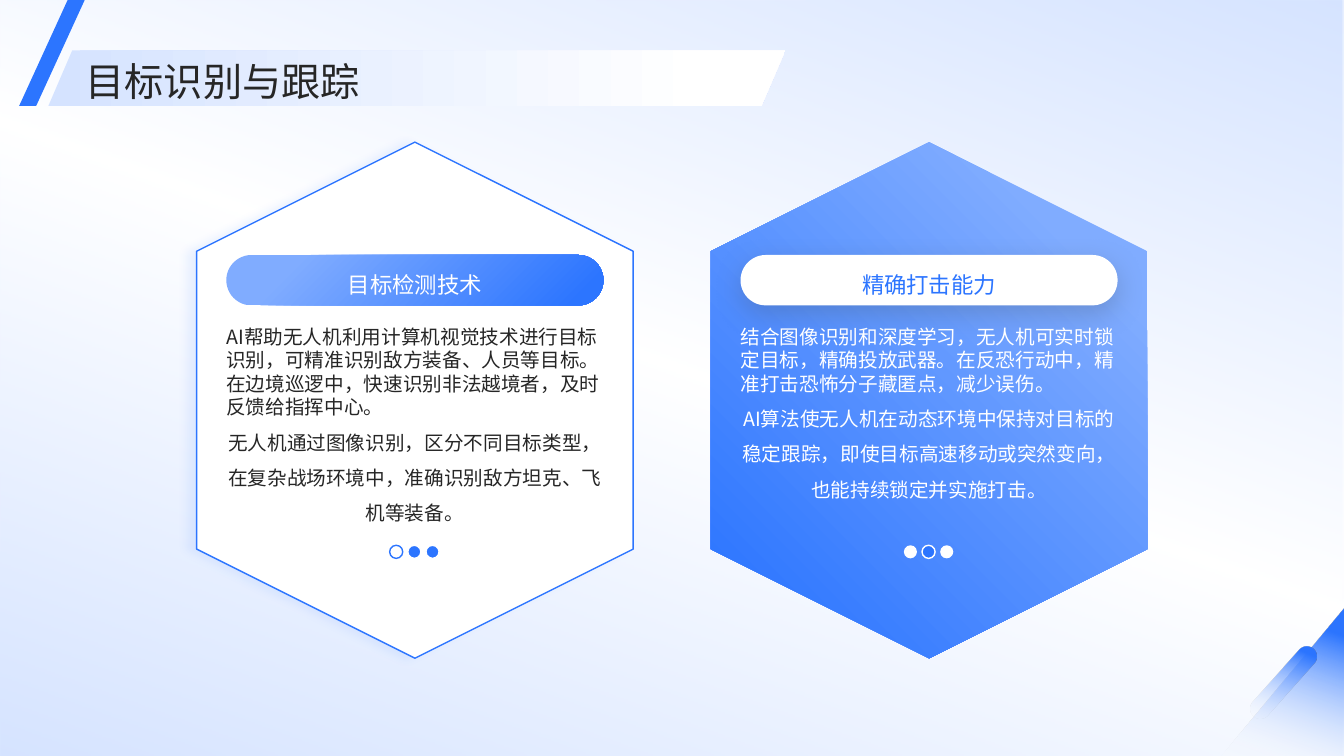
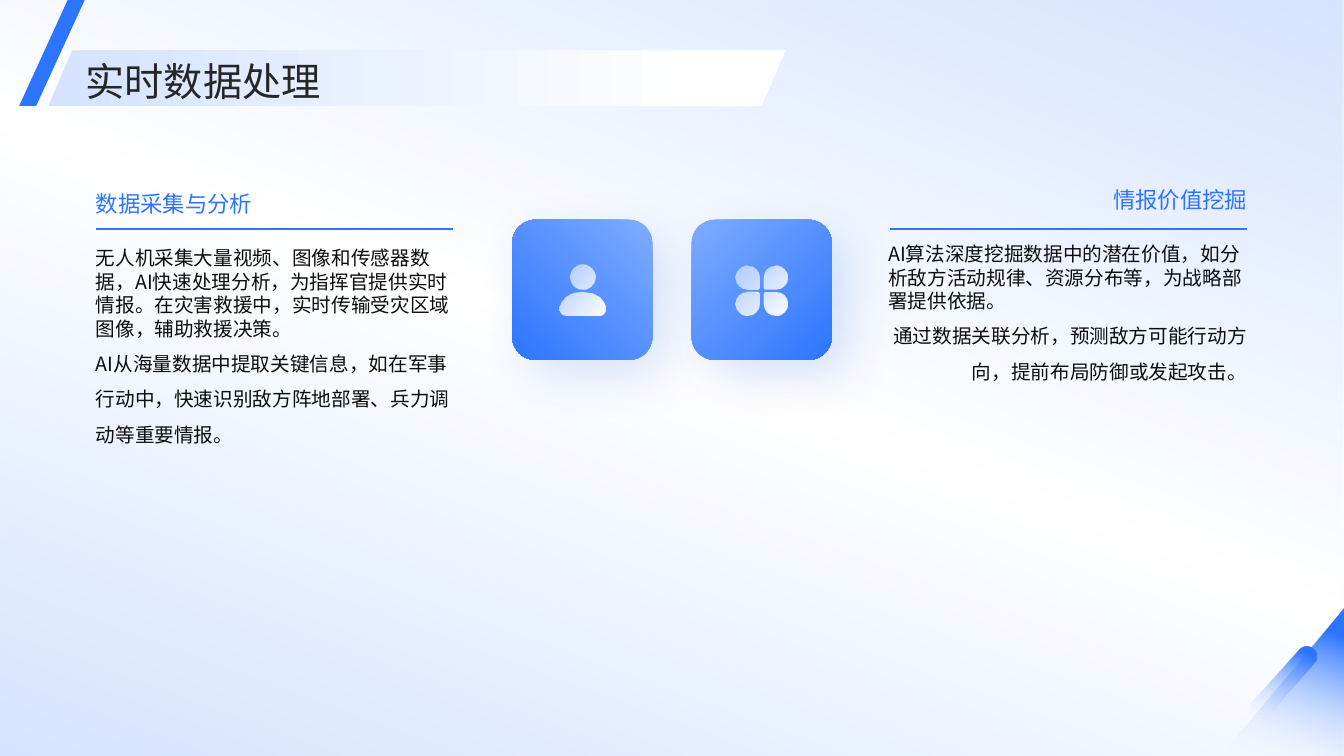
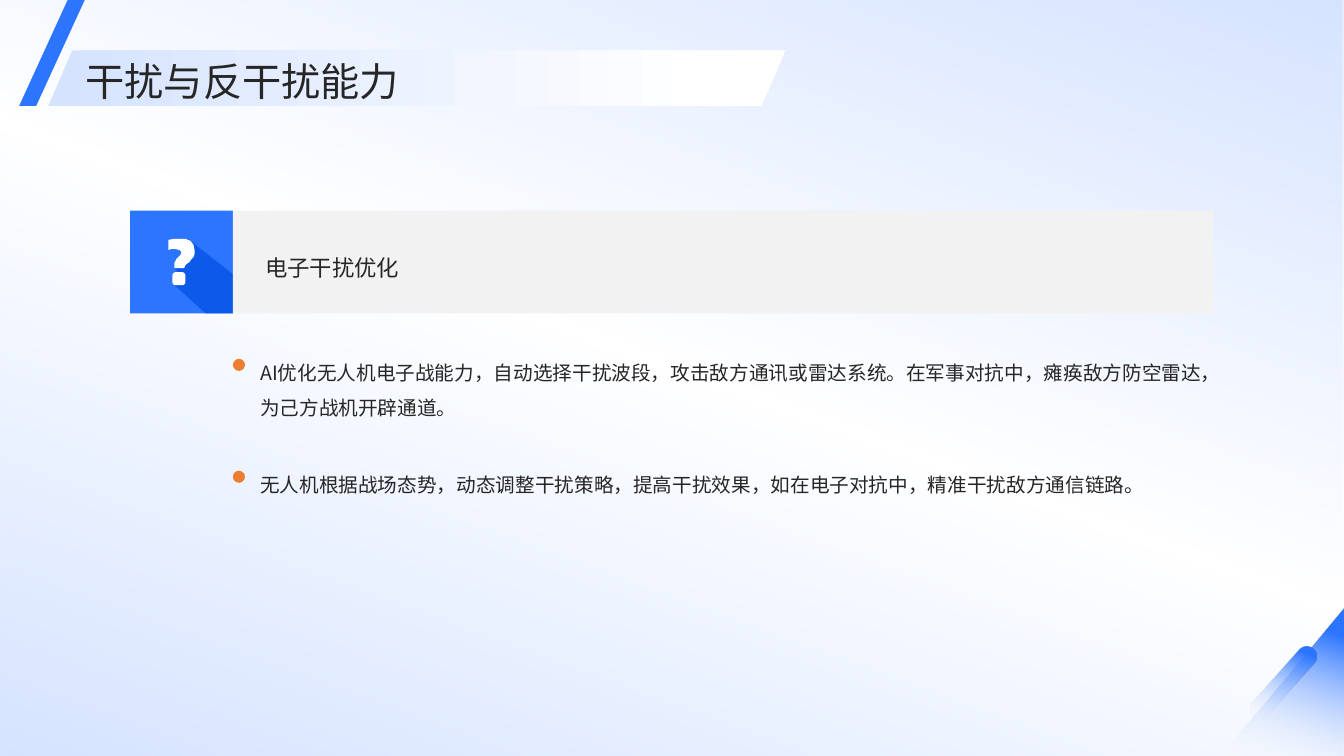
import math

import lxml.etree
import pptx
import pptx.dml.color
import pptx.enum.shapes
import pptx.enum.text
import pptx.oxml.ns
import pptx.util

Inches = pptx.util.Inches
SHAPE = pptx.enum.shapes.MSO_SHAPE
ALIGN = pptx.enum.text.PP_ALIGN
ANCHOR = pptx.enum.text.MSO_ANCHOR
qn = pptx.oxml.ns.qn

FONT = "Noto Sans CJK SC"
COLORS = {
    "blue": "2C75FF",
    "light_blue": "80ACFF",
    "deep_blue": "004EE0",
    "pale": "D5E3FF",
    "white": "FFFFFF",
    "gray": "F2F2F2",
    "slate": "44546A",
    "ink": "262626",
    "black": "0D0D0D",
    "orange": "ED7D31",
}
PAGE = ([(0, "pale", 100), (51, "white", 97), (100, "pale", 100)], 290)
FADE = ([(0, "white", 0), (85, "blue", 100)], 250)
BAND = ([(0, "pale", 100), (89, "white", 100)], 0)
GLOW = ([(18, "light_blue", 100), (93, "blue", 100)], 45)
ICON = ([(0, "white", 100), (100, "white", 50)], 225)
TILE_STOPS = [(0, "light_blue", 100), (100, "blue", 100)]


def rgb(name):
    return pptx.dml.color.RGBColor.from_string(COLORS[name])


def add_color(parent, name, opacity):
    color = lxml.etree.SubElement(parent, qn("a:srgbClr"), val=COLORS[name])
    if opacity < 100:
        lxml.etree.SubElement(color, qn("a:alpha"), val=str(opacity * 1000))


def paint_gradient(shape, stops, angle):
    shape.fill.gradient()
    gradient = shape.element.spPr.find(qn("a:gradFill"))
    stop_list = gradient.find(qn("a:gsLst"))
    for stop in list(stop_list):
        stop_list.remove(stop)
    for position, name, opacity in stops:
        stop = lxml.etree.SubElement(stop_list, qn("a:gs"), pos=str(position * 1000))
        add_color(stop, name, opacity)
    gradient.find(qn("a:lin")).set("ang", str(angle * 60000))


def style_shape(shape, fill, line=None, shadow=None):
    if isinstance(fill, str):
        shape.fill.solid()
        shape.fill.fore_color.rgb = rgb(fill)
    else:
        paint_gradient(shape, *fill)
    if line:
        shape.line.color.rgb = rgb(line)
        shape.line.width = pptx.util.Pt(1)
    else:
        shape.line.fill.background()
    shape.shadow.inherit = False
    if shadow:
        name, opacity, blur, distance, direction = shadow
        effect = lxml.etree.SubElement(
            shape.element.spPr.find(qn("a:effectLst")), qn("a:outerShdw"),
            blurRad=str(pptx.util.Pt(blur)), dist=str(pptx.util.Pt(distance)),
            dir=str(direction * 60000), algn="ctr", rotWithShape="0")
        add_color(effect, name, opacity)
    return shape


def add_block(shapes, kind, box, fill, line=None, shadow=None, adjustment=None):
    shape = shapes.add_shape(kind, *map(Inches, box))
    if adjustment is not None:
        shape.adjustments[0] = adjustment
    return style_shape(shape, fill, line, shadow)


def add_outline(shapes, contours, fill):
    contours = [[(Inches(x), Inches(y)) for x, y in points] for points in contours]
    builder = shapes.build_freeform(*contours[0][0])
    for index, points in enumerate(contours):
        if index:
            builder.move_to(*points[0])
        builder.add_line_segments(points[1:], close=True)
    return style_shape(builder.convert_to_shape(), fill)


def arc(center_x, center_y, radius, start, end, steps):
    angles = [math.radians(start + (end - start) * i / steps) for i in range(steps + 1)]
    return [(center_x + radius * math.cos(a), center_y + radius * math.sin(a)) for a in angles]


def bezier(*controls, steps=4):
    weights = (1, 3, 3, 1)
    points = []
    for step in range(steps + 1):
        t = step / steps
        factors = [w * t ** k * (1 - t) ** (3 - k) for k, w in enumerate(weights)]
        points.append(tuple(sum(f * c[axis] for f, c in zip(factors, controls)) for axis in (0, 1)))
    return points


def format_paragraph(paragraph, size, color, align, spacing):
    paragraph.alignment = align
    paragraph.line_spacing = spacing
    paragraph.space_before = pptx.util.Pt(0)
    for run in paragraph.runs:
        run.font.size = pptx.util.Pt(size)
        run.font.color.rgb = rgb(color)
        run.font.name = FONT
        latin = run.font._element.find(qn("a:latin"))
        latin.addnext(latin.makeelement(qn("a:ea"), {"typeface": FONT}))


def prepare_frame(shape, anchor):
    frame = shape.text_frame
    frame.word_wrap = True
    frame.auto_size = pptx.enum.text.MSO_AUTO_SIZE.NONE
    frame.vertical_anchor = anchor
    frame.margin_left = frame.margin_right = frame.margin_top = frame.margin_bottom = 0
    return frame


def add_label(slide, box, text, color, align=ALIGN.LEFT, spacing=1.0, anchor=ANCHOR.MIDDLE):
    frame = prepare_frame(slide.shapes.add_textbox(*map(Inches, box)), anchor)
    frame.text = text
    format_paragraph(frame.paragraphs[0], 16, color, align, spacing)


def place(placeholder, box):
    placeholder.left, placeholder.top, placeholder.width, placeholder.height = map(Inches, box)
    placeholder.element.getparent().append(placeholder.element)


def fill_body(placeholder, box, texts, color, align=ALIGN.LEFT):
    place(placeholder, box)
    frame = prepare_frame(placeholder, ANCHOR.TOP)
    for index, text in enumerate(texts):
        last = index == len(texts) - 1
        paragraph = frame.add_paragraph() if index else frame.paragraphs[0]
        paragraph.text = text
        properties = paragraph._p.get_or_add_pPr()
        properties.set("marL", "0")
        properties.set("indent", "0")
        properties.set("hangingPunct", "1" if last else "0")
        lxml.etree.SubElement(properties, qn("a:buNone"))
        format_paragraph(paragraph, 14, color, align if last else ALIGN.LEFT, 1.5 if last else 1.0)


def add_page(presentation, layout, title):
    slide = presentation.slides.add_slide(layout)
    add_block(slide.shapes, SHAPE.RECTANGLE, (0, 0, 13.33, 7.5), PAGE)
    corner = add_block(slide.shapes, SHAPE.RIGHT_TRIANGLE, (12.12, 6.03, 1.21, 1.47), FADE)
    corner.element.spPr.find(qn("a:xfrm")).set("flipH", "1")
    bar = add_block(slide.shapes, SHAPE.ROUNDED_RECTANGLE, (12.63, 6.33, 0.2, 0.88), FADE, adjustment=0.5)
    bar.rotation = 41.8
    add_block(slide.shapes, SHAPE.PARALLELOGRAM, (0.48, 0.5, 7.31, 0.55), BAND, adjustment=0.43)
    add_block(slide.shapes, SHAPE.PARALLELOGRAM, (0.19, 0, 0.65, 1.05), "blue", adjustment=0.74)
    place(slide.shapes.title, (0.85, 0.52, 11.75, 0.51))
    frame = prepare_frame(slide.shapes.title, ANCHOR.MIDDLE)
    frame.text = title
    format_paragraph(frame.paragraphs[0], 28, "ink", ALIGN.LEFT, 1.1)
    return slide


def add_hexagon_card(slide, body, box, heading, texts, look):
    left, top, width, height = box
    center = left + width / 2
    hexagon_box = (center - height / 2, top + (height - width) / 2, height, width)
    hexagon = add_block(slide.shapes, SHAPE.HEXAGON, hexagon_box, look["card"],
                        look["outline"], look["card_shadow"])
    hexagon.rotation = 90
    inner_left, inner_width = center - 1.87, 3.74
    pill = (inner_left, top + 1.12, inner_width, 0.5)
    add_block(slide.shapes, SHAPE.ROUNDED_RECTANGLE, pill, look["pill"],
              shadow=look["pill_shadow"], adjustment=0.5)
    add_label(slide, pill, heading, look["heading"], ALIGN.CENTER, 1.3)
    fill_body(body, (inner_left, top + 1.81, inner_width, 2.08), texts, look["text"], ALIGN.CENTER)
    for index, (fill, line) in enumerate(look["dots"]):
        dot = (center - 0.25 + 0.18 * index, top + 4.0, 0.13, 0.13)
        add_block(slide.shapes, SHAPE.OVAL, dot, fill, line)


def build_tracking(presentation, layout):
    slide = add_page(presentation, layout, "目标识别与跟踪")
    bodies = list(slide.placeholders)[1:]
    light = {
        "card": "white", "outline": "blue", "card_shadow": ("blue", 8, 5.6, 7, 180),
        "pill": GLOW, "pill_shadow": None, "heading": "white", "text": "ink",
        "dots": [("white", "blue"), ("blue", "white"), ("blue", "white")],
    }
    dark = {
        "card": GLOW, "outline": None, "card_shadow": None,
        "pill": "white", "pill_shadow": ("slate", 28, 19, 6, 90), "heading": "blue", "text": "white",
        "dots": [("white", None), ("blue", "white"), ("white", None)],
    }
    cards = [
        ("目标检测技术", [
            "AI帮助无人机利用计算机视觉技术进行目标识别，可精准识别敌方装备、人员等目标。在边境巡逻中，快速识别非法越境者，及时反馈给指挥中心。",
            "无人机通过图像识别，区分不同目标类型，在复杂战场环境中，准确识别敌方坦克、飞机等装备。"], light),
        ("精确打击能力", [
            "结合图像识别和深度学习，无人机可实时锁定目标，精确投放武器。在反恐行动中，精准打击恐怖分子藏匿点，减少误伤。",
            "AI算法使无人机在动态环境中保持对目标的稳定跟踪，即使目标高速移动或突然变向，也能持续锁定并实施打击。"], dark),
    ]
    for index, (heading, texts, look) in enumerate(cards):
        box = (1.95 + 5.1 * index, 1.41, 4.33, 5.12)
        add_hexagon_card(slide, bodies[index], box, heading, texts, look)


def add_text_column(slide, body, box, heading, texts, align):
    left, top, width, height = box
    add_label(slide, (left, top, width, 0.3), heading, "blue", align, anchor=ANCHOR.TOP)
    fill_body(body, (left, top + 0.55, width, height - 0.55), texts, "black", align)
    rule_width = 3.54
    rule_left = left if align == ALIGN.LEFT else left + width - rule_width
    rule = slide.shapes.add_connector(
        pptx.enum.shapes.MSO_CONNECTOR.STRAIGHT,
        *map(Inches, (rule_left, 2.27, rule_left + rule_width, 2.27)))
    rule.line.color.rgb = rgb("blue")
    rule.line.width = pptx.util.Pt(1.5)
    lxml.etree.SubElement(rule.element.spPr, qn("a:effectLst"))


def add_tile(slide, left, top, angle):
    add_block(slide.shapes, SHAPE.ROUNDED_RECTANGLE, (left, top, 1.39, 1.39),
              (TILE_STOPS, angle), shadow=("deep_blue", 15, 35, 16, 45))


def add_person(slide, center_x, top):
    shoulder = bezier((0, 0.27), (0.15, 0.27), (0.21, 0.35), (0.23, 0.42))
    base = bezier((0.23, 0.42), (0.24, 0.46), (0.21, 0.51), (0.16, 0.51))
    half = shoulder + base[1:]
    torso = half + [(-x, y) for x, y in reversed(half[1:])]
    torso = [(center_x + x, top + y) for x, y in torso]
    add_outline(slide.shapes, [torso, arc(center_x, top + 0.125, 0.125, 0, 345, 23)], ICON)


def add_clover(slide, center_x, center_y):
    petal = arc(0.14, 0.13, 0.12, -90, 180, 12) + arc(0.04, 0.03, 0.02, 180, 270, 2)
    petals = [[(center_x + sign_x * x, center_y + sign_y * y) for x, y in petal]
              for sign_x in (-1, 1) for sign_y in (-1, 1)]
    add_outline(slide.shapes, petals, ICON)


def build_processing(presentation, layout):
    slide = add_page(presentation, layout, "实时数据处理")
    bodies = list(slide.placeholders)[1:]
    add_tile(slide, 6.86, 2.18, 45)
    add_tile(slide, 5.08, 2.18, 135)
    add_person(slide, 5.78, 2.62)
    add_clover(slide, 7.55, 2.88)
    add_text_column(slide, bodies[0], (0.95, 1.89, 3.55, 4.81), "数据采集与分析", [
        "无人机采集大量视频、图像和传感器数据，AI快速处理分析，为指挥官提供实时情报。在灾害救援中，实时传输受灾区域图像，辅助救援决策。",
        "AI从海量数据中提取关键信息，如在军事行动中，快速识别敌方阵地部署、兵力调动等重要情报。"], ALIGN.LEFT)
    add_text_column(slide, bodies[1], (8.81, 1.85, 3.56, 4.85), "情报价值挖掘", [
        "AI算法深度挖掘数据中的潜在价值，如分析敌方活动规律、资源分布等，为战略部署提供依据。",
        "通过数据关联分析，预测敌方可能行动方向，提前布局防御或发起攻击。"], ALIGN.RIGHT)


def add_question_icon(slide, left, top, size):
    def shift(points):
        return [(left + x, top + y) for x, y in points]

    shapes = slide.shapes.add_group_shape().shapes
    add_block(shapes, SHAPE.RECTANGLE, (left, top, size, size), "blue")
    long_shadow = add_outline(shapes, [shift([
        (0.61, 0.31), (0.44, 0.57), (0.52, 0.66), (0.43, 0.73),
        (0.75, size), (size, size), (size, 0.63)])], "deep_blue")
    color = next(long_shadow.element.spPr.iter(qn("a:srgbClr")))
    lxml.etree.SubElement(color, qn("a:alpha"), val="70000")
    hook = [
        (0.44, 0.55), (0.44, 0.52), (0.46, 0.48), (0.5, 0.44), (0.51, 0.41), (0.49, 0.39),
        (0.45, 0.38), (0.41, 0.38), (0.38, 0.39), (0.38, 0.29), (0.43, 0.28), (0.48, 0.28),
        (0.55, 0.28), (0.6, 0.3), (0.63, 0.34), (0.64, 0.39), (0.64, 0.43), (0.63, 0.46),
        (0.61, 0.48), (0.59, 0.51), (0.56, 0.53), (0.55, 0.54), (0.54, 0.56), (0.54, 0.57), (0.44, 0.57)]
    add_outline(shapes, [shift(hook)], "white")
    add_block(shapes, SHAPE.ROUNDED_RECTANGLE, (left + 0.42, top + 0.61, 0.13, 0.13),
              "white", adjustment=0.25)


def add_bullet_item(slide, body, box, text):
    left, top, width, height = box
    add_block(slide.shapes, SHAPE.OVAL, (left, top + 0.1, 0.12, 0.12), "orange")
    fill_body(body, (left + 0.27, top, width - 0.27, height), [text], "ink")


def build_jamming(presentation, layout):
    slide = add_page(presentation, layout, "干扰与反干扰能力")
    bodies = list(slide.placeholders)[1:]
    add_question_icon(slide, 1.29, 2.09, 1.02)
    add_block(slide.shapes, SHAPE.RECTANGLE, (2.31, 2.09, 9.72, 1.02), "gray")
    add_label(slide, (2.63, 2.16, 9.18, 0.88), "电子干扰优化", "ink", spacing=1.4)
    items = [
        "AI优化无人机电子战能力，自动选择干扰波段，攻击敌方通讯或雷达系统。在军事对抗中，瘫痪敌方防空雷达，为己方战机开辟通道。",
        "无人机根据战场态势，动态调整干扰策略，提高干扰效果，如在电子对抗中，精准干扰敌方通信链路。",
    ]
    for index, text in enumerate(items):
        add_bullet_item(slide, bodies[index], (2.31, 3.46 + 1.11 * index, 9.72, 1.05), text)


def main():
    presentation = pptx.Presentation()
    presentation.slide_width = Inches(13.33)
    presentation.slide_height = Inches(7.5)
    layout = presentation.slide_layouts.get_by_name("Two Content")
    for build in (build_tracking, build_processing, build_jamming):
        build(presentation, layout)
    presentation.save("out.pptx")


if __name__ == "__main__":
    main()
